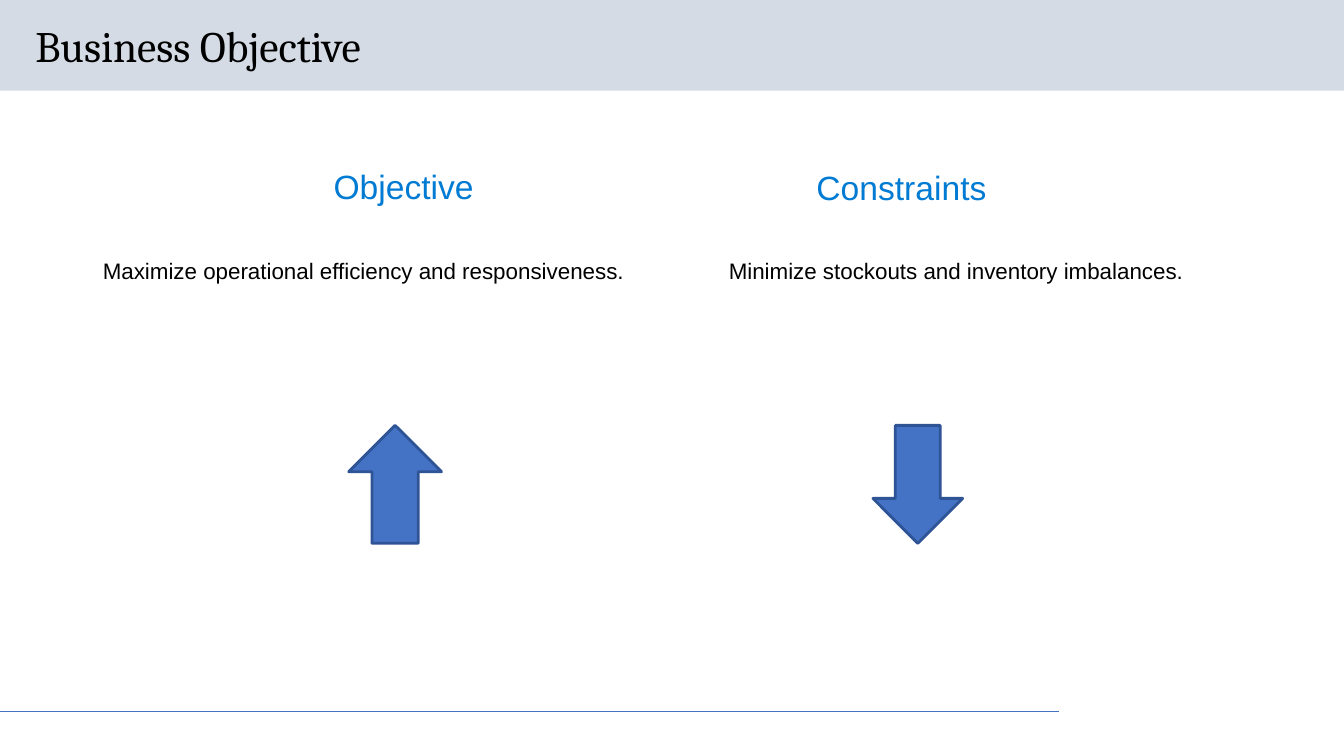
"""Build the Business Objective slide on a grid of 80 columns by 45 rows."""
from dataclasses import dataclass

from lxml import etree
from pptx import Presentation
from pptx.dml.color import RGBColor
from pptx.enum.shapes import MSO_CONNECTOR, MSO_SHAPE
from pptx.enum.text import MSO_ANCHOR, PP_ALIGN
from pptx.oxml.ns import qn
from pptx.util import Emu, Inches, Pt

RECT, UP, DOWN = MSO_SHAPE.RECTANGLE, MSO_SHAPE.UP_ARROW, MSO_SHAPE.DOWN_ARROW
STRAIGHT = MSO_CONNECTOR.STRAIGHT
LEFT = PP_ALIGN.LEFT
TOP, MIDDLE = MSO_ANCHOR.TOP, MSO_ANCHOR.MIDDLE
CELL = Inches(7.5) / 45
BLUE, EDGE, ACCENT, BAND, BLACK = "4472C4", "2F5496", "007BD3", "D5DBE5", "000000"


@dataclass
class Box:
    col: float
    row: float
    cols: float
    rows: float

    def emu(self) -> tuple[Emu, Emu, Emu, Emu]:
        return grid(self.col), grid(self.row), grid(self.cols), grid(self.rows)


@dataclass
class Topic:
    heading: str
    heading_box: Box
    body: str
    body_box: Box
    arrow: MSO_SHAPE
    arrow_box: Box


TOPICS = [
    Topic("Objective", Box(19.26, 9.6, 17.8, 3.72),
          "Maximize operational efficiency and responsiveness.", Box(5.52, 15.02, 36, 7.62),
          UP, Box(20.76, 25.32, 5.52, 7.02)),
    Topic("Constraints", Box(48, 9.66, 22.5, 4.26),
          "Minimize stockouts and inventory imbalances.", Box(42.78, 15.02, 36, 7.62),
          DOWN, Box(51.96, 25.32, 5.34, 7.02)),
]


def grid(n: float) -> Emu:
    return Emu(round(n * CELL))


def rgb(value: str) -> RGBColor:
    return RGBColor.from_string(value)


def put_text(sp, box: Box, text: str, *, size: float, color: str = BLACK,
             font: str = "Arial", anchor=TOP, spacing: float = 1.0) -> None:
    sp.left, sp.top, sp.width, sp.height = box.emu()
    tf = sp.text_frame
    tf.word_wrap = True
    tf.vertical_anchor = anchor
    p = tf.paragraphs[0]
    p.alignment = LEFT
    p.line_spacing = spacing
    p.space_before = Pt(0)
    pPr = p._p.get_or_add_pPr()
    pPr.set("marL", "0")
    pPr.set("indent", "0")
    etree.SubElement(pPr, qn("a:buNone"))
    r = p.add_run()
    r.text = text
    r.font.size = Pt(size)
    r.font.name = font
    r.font.bold = False
    r.font.color.rgb = rgb(color)


def add_block(slide, kind, box: Box, *, fill: str, line: str | None = None):
    sp = slide.shapes.add_shape(kind, *box.emu())
    sp.shadow.inherit = False
    sp.fill.solid()
    sp.fill.fore_color.rgb = rgb(fill)
    if line:
        sp.line.color.rgb = rgb(line)
        sp.line.width = Pt(2)
    else:
        sp.line.fill.background()
    return sp


def add_rule(slide, row: float, cols: float):
    rule = slide.shapes.add_connector(STRAIGHT, 0, grid(row), grid(cols), grid(row))
    rule.line.color.rgb = rgb(BLUE)
    rule.line.width = Pt(0.75)
    etree.SubElement(rule._element.spPr, qn("a:effectLst"))
    return rule


def main() -> None:
    prs = Presentation()
    prs.slide_width, prs.slide_height = grid(80), grid(45)
    slide = prs.slides.add_slide(prs.slide_layouts.get_by_name("Comparison"))

    band = add_block(slide, RECT, Box(0, 0, 80, 5.4), fill=BAND)
    rule = add_rule(slide, 42.36, 63.06)
    for back in (rule, band):
        slide.shapes._spTree.insert(2, back._element)

    put_text(slide.shapes.title, Box(1.5, 1.2, 69, 3.42), "Business Objective",
             size=31, font="Cambria", anchor=MIDDLE, spacing=0.9)
    holders = {ph.placeholder_format.idx: ph for ph in slide.placeholders}
    for i, topic in enumerate(TOPICS):
        put_text(holders[2 * i + 1], topic.heading_box, topic.heading, size=24, color=ACCENT)
        put_text(holders[2 * i + 2], topic.body_box, topic.body, size=16)
        add_block(slide, topic.arrow, topic.arrow_box, fill=BLUE, line=EDGE)

    prs.save("out.pptx")


if __name__ == "__main__":
    main()
